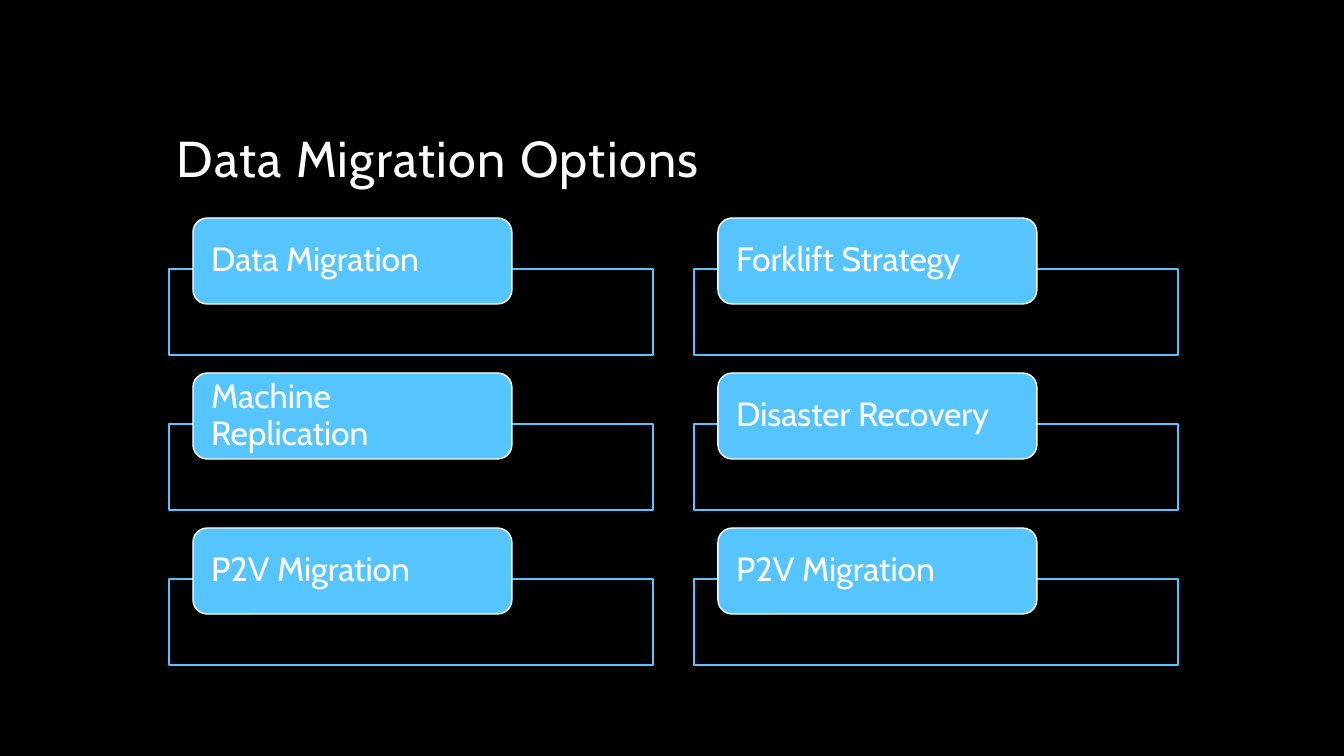
from pptx import Presentation
from pptx.dml.color import RGBColor
from pptx.enum.shapes import MSO_SHAPE
from pptx.enum.text import MSO_ANCHOR, PP_ALIGN
from pptx.util import Emu, Pt

EMU_PER_PX = 914400 / 100.8
COLORS = {"background": "000000", "accent": "56C5FF", "text": "FFFFFF"}
OPTIONS = [
    ["Data Migration", "Machine Replication", "P2V Migration"],
    ["Forklift Strategy", "Disaster Recovery", "P2V Migration"],
]
GRID_LEFT, GRID_TOP = 169, 218
COLUMN_PITCH, ROW_PITCH = 525, 155
FRAME_WIDTH, CAPTION_WIDTH, BOX_HEIGHT = 484, 319, 86
CAPTION_INDENT, FRAME_DROP = 24, 51


def px(length):
    return Emu(round(length * EMU_PER_PX))


def color(name):
    return RGBColor.from_string(COLORS[name])


def write(frame, text, size, anchor, margins):
    frame.word_wrap = True
    frame.vertical_anchor = anchor
    frame.margin_left = frame.margin_right = px(margins[0])
    frame.margin_top = frame.margin_bottom = px(margins[1])
    paragraph = frame.paragraphs[0]
    paragraph.alignment = PP_ALIGN.LEFT
    paragraph.line_spacing = 0.9
    paragraph.font.name = "Cabin"
    paragraph.font.size = Pt(size)
    paragraph.font.color.rgb = color("text")
    run = paragraph.add_run()
    run.text = text
    return run


def add_title(slide, text):
    title = slide.shapes.add_textbox(px(167), px(42), px(1008), px(151))
    run = write(title.text_frame, text, 36, MSO_ANCHOR.BOTTOM, (10, 5))
    run._r.get_or_add_rPr().set("spc", "100")


def add_box(slide, preset, left, top, width, line):
    box = slide.shapes.add_shape(preset, px(left), px(top), px(width), px(BOX_HEIGHT))
    box.shadow.inherit = False
    box.fill.background()
    box.line.color.rgb = color(line)
    box.line.width = Pt(1)
    return box


def add_option(slide, text, left, top):
    add_box(slide, MSO_SHAPE.RECTANGLE, left, top + FRAME_DROP, FRAME_WIDTH, "accent")
    caption = add_box(slide, MSO_SHAPE.ROUNDED_RECTANGLE, left + CAPTION_INDENT, top,
                      CAPTION_WIDTH, "text")
    caption.fill.solid()
    caption.fill.fore_color.rgb = color("accent")
    write(caption.text_frame, text, 24, MSO_ANCHOR.MIDDLE, (14, 0))


def main():
    presentation = Presentation()
    presentation.slide_width, presentation.slide_height = px(1344), px(756)
    slide = presentation.slides.add_slide(presentation.slide_layouts[6])
    slide.background.fill.solid()
    slide.background.fill.fore_color.rgb = color("background")
    add_title(slide, "Data Migration Options")
    for column, options in enumerate(OPTIONS):
        for row, option in enumerate(options):
            add_option(slide, option, GRID_LEFT + column * COLUMN_PITCH,
                       GRID_TOP + row * ROW_PITCH)
    presentation.save("out.pptx")


if __name__ == "__main__":
    main()
